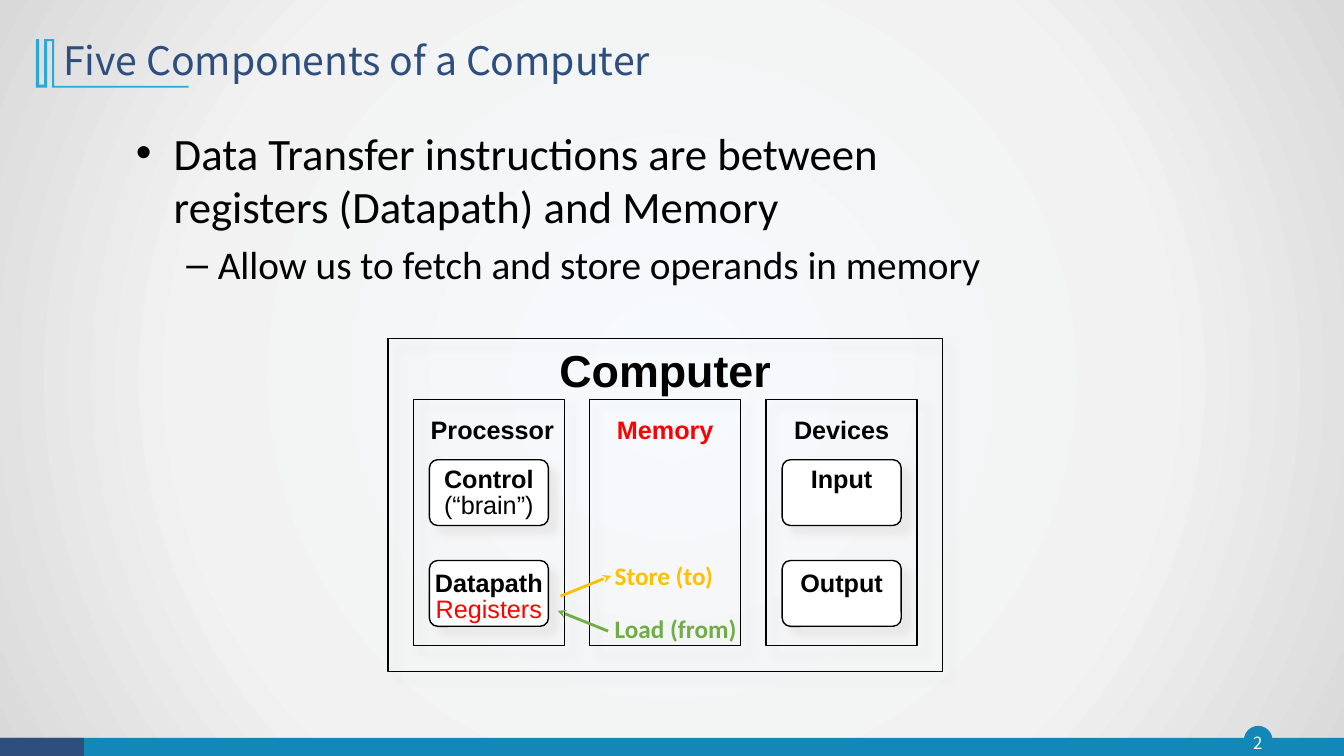
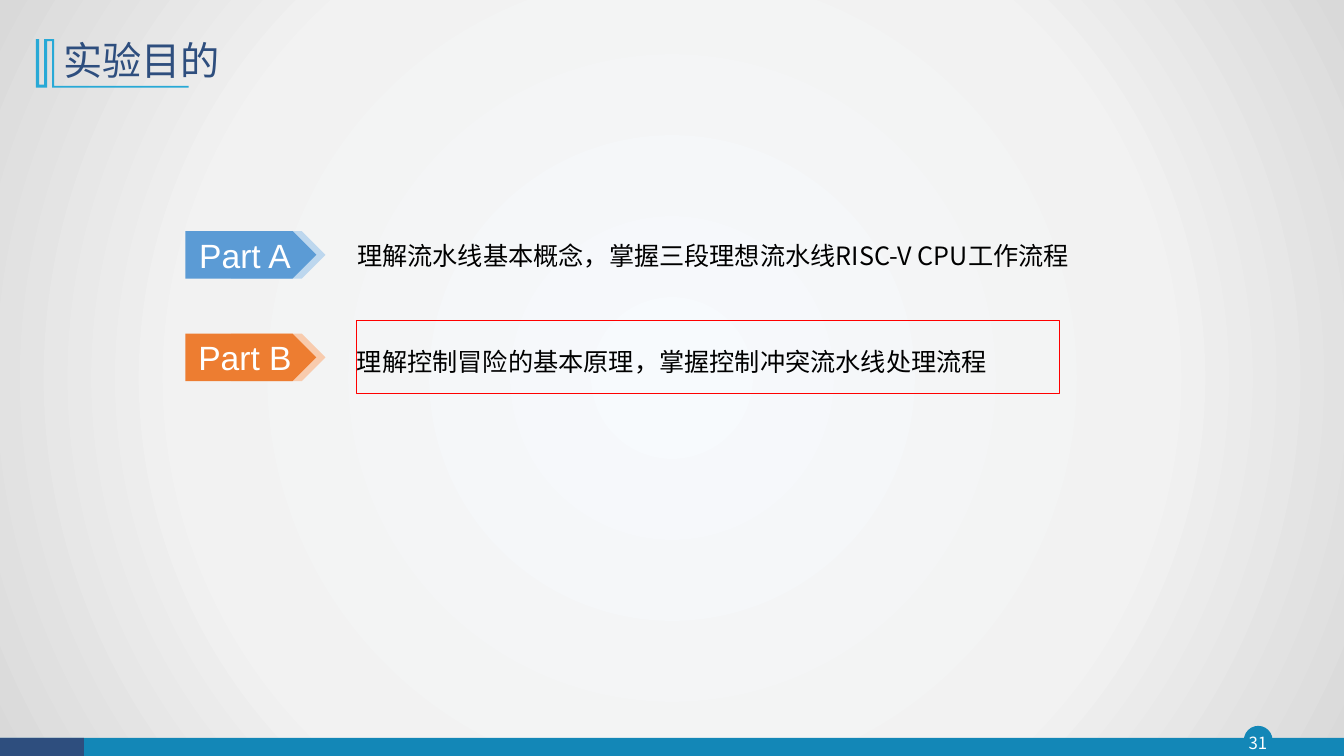
from lxml.etree import SubElement
from pptx import Presentation
from pptx.dml.color import RGBColor
from pptx.enum.shapes import MSO_CONNECTOR, MSO_SHAPE
from pptx.enum.text import MSO_ANCHOR, PP_ALIGN
from pptx.oxml.ns import qn
from pptx.util import Pt

WIDTH, HEIGHT = 960, 540
NAVY, TEAL, CYAN = "2E4E7E", "1387B7", "28A9D6"
BLACK, WHITE, RED = "000000", "FFFFFF", "FF0000"
AMBER, GREEN = "FFC000", "70AD47"
SHADOW = "E7E6E6"
SANS, ARIAL, CALIBRI = "Noto Sans CJK SC", "Arial", "Calibri"

BACKGROUND_STOPS = [(0, "F7FAFD"), (63, "F2F2F2"), (100, "D9D9D9")]
TITLE_MARK = [
    (13, 0), (13, 33.3), (109, 33.3), (109, 34.5), (11.5, 34.5), (11.5, 1.4),
    (8, 1.4), (8, 34.5), (0, 34.5), (0, 0), (2.2, 0), (2.2, 32.4),
    (5.8, 32.4), (5.8, 0),
]

TITLE = {"name": SANS, "size": Pt(28), "color": NAVY}
NUMBER = {"name": SANS, "size": Pt(12), "color": WHITE}
BODY = {"name": SANS, "size": Pt(18), "color": BLACK}
POINT = {"name": CALIBRI, "size": Pt(32), "color": BLACK}
SUBPOINT = {**POINT, "size": Pt(28)}
HEADING = {"name": ARIAL, "size": Pt(32), "bold": True, "color": BLACK}
LABEL = {**HEADING, "size": Pt(18)}
DETAIL = {**LABEL, "bold": False}
TRANSFER = {**LABEL, "name": CALIBRI}
TAG = {"name": ARIAL, "size": Pt(24), "color": WHITE}

CENTERED = {"alignment": PP_ALIGN.CENTER}
TIGHT = {**CENTERED, "line_spacing": 0.85}
MIDDLE = {"vertical_anchor": MSO_ANCHOR.MIDDLE}


def margins(horizontal, vertical):
    return {
        "margin_left": Pt(horizontal), "margin_right": Pt(horizontal),
        "margin_top": Pt(vertical), "margin_bottom": Pt(vertical),
    }


FLUSH = {**MIDDLE, **margins(0, 0)}
SNUG = margins(5, 2.2)


def rgb(color):
    return RGBColor.from_string(color)


def apply(target, values):
    for name, value in values.items():
        setattr(target, name, value)


def add_color(parent, color):
    return SubElement(parent, qn("a:srgbClr"), val=color)


def write_text(frame, lines, frame_values):
    apply(frame, {"word_wrap": True, **frame_values})
    for index, (text, style, paragraph_values) in enumerate(lines):
        paragraph = frame.add_paragraph() if index else frame.paragraphs[0]
        apply(paragraph, paragraph_values)
        run = paragraph.add_run()
        run.text = text
        apply(run.font, {key: style[key] for key in style if key != "color"})
        run.font.color.rgb = rgb(style["color"])
        SubElement(run.font._element, qn("a:ea"), typeface=style["name"])


def add_text(slide, box, lines, frame_values=None):
    shape = slide.shapes.add_textbox(*map(Pt, box))
    write_text(shape.text_frame, lines, frame_values or {})
    return shape


def paint(shape, fill=None, line=None, line_width=1):
    shape.shadow.inherit = False
    if fill:
        shape.fill.solid()
        shape.fill.fore_color.rgb = rgb(fill)
    else:
        shape.fill.background()
    if line:
        shape.line.color.rgb = rgb(line)
        shape.line.width = Pt(line_width)
    else:
        shape.line.fill.background()


def add_box(slide, kind, box, **colors):
    shape = slide.shapes.add_shape(kind, *map(Pt, box))
    paint(shape, **colors)
    return shape


def add_shadowed_box(slide, kind, box, fill=None):
    shape = add_box(slide, kind, box, fill=fill, line=BLACK)
    effects = shape._element.spPr.find(qn("a:effectLst"))
    shadow = SubElement(
        effects, qn("a:outerShdw"), blurRad=str(Pt(5)), dist=str(Pt(8.5)),
        dir="2700000", algn="ctr", rotWithShape="0",
    )
    SubElement(add_color(shadow, SHADOW), qn("a:alpha"), val="75000")
    return shape


def add_arrow(slide, start, end, color):
    connector = slide.shapes.add_connector(
        MSO_CONNECTOR.STRAIGHT, *map(Pt, start + end))
    connector.line.color.rgb = rgb(color)
    connector.line.width = Pt(2)
    properties = connector._element.spPr
    SubElement(properties.find(qn("a:ln")), qn("a:tailEnd"), type="stealth")
    SubElement(properties, qn("a:effectLst"))


def set_background(master):
    master.background.fill.solid()
    properties = master.element.find(".//" + qn("p:bgPr"))
    properties.remove(properties[0])
    gradient = SubElement(properties, qn("a:gradFill"), rotWithShape="1")
    properties.insert(0, gradient)
    stops = SubElement(gradient, qn("a:gsLst"))
    for position, color in BACKGROUND_STOPS:
        add_color(SubElement(stops, qn("a:gs"), pos=str(position * 1000)), color)
    circle = SubElement(gradient, qn("a:path"), attrib={"path": "circle"})
    SubElement(circle, qn("a:fillToRect"),
               attrib={side: "50000" for side in "ltrb"})


def add_footer(slide, box, number):
    left, top, width, height = box
    disc = (left + 889, top - 8, 19.5, 19.5)
    add_box(slide, MSO_SHAPE.OVAL, disc, fill=TEAL, line=TEAL)
    add_box(slide, MSO_SHAPE.RECTANGLE, box, fill=TEAL)
    add_box(slide, MSO_SHAPE.RECTANGLE, (left, top, 60, height), fill=NAVY)
    add_text(slide, (left + 887, top - 8, 23, 22.5),
             [(str(number), NUMBER, CENTERED)], FLUSH)


def add_title(slide, box, title):
    left, top, width, height = box
    builder = slide.shapes.build_freeform(
        *map(Pt, TITLE_MARK[0]), scale=1.0)
    builder.add_line_segments(
        [(Pt(x), Pt(y)) for x, y in TITLE_MARK[1:]], close=True)
    mark = builder.convert_to_shape(Pt(left - 12.3), Pt(top + 8))
    paint(mark, fill=CYAN)
    add_text(slide, box, [(title, TITLE, {"line_spacing": 0.9})], MIDDLE)


def add_framed_slide(presentation, title, number):
    slide = presentation.slides.add_slide(presentation.slide_layouts[6])
    add_footer(slide, (0, 527, WIDTH, 13), number)
    add_title(slide, (38, 20, 828, 49), title)
    return slide


def add_bullets(slide, box, points):
    lines = [(text, style, {"space_before": Pt(before)})
             for text, style, before, *_ in points]
    frame = add_text(slide, box, lines).text_frame
    for paragraph, point in zip(frame.paragraphs, points):
        margin, hanging, mark = point[3:]
        properties = paragraph._p.get_or_add_pPr()
        properties.set("marL", str(Pt(margin)))
        properties.set("indent", str(-Pt(hanging)))
        add_color(SubElement(properties, qn("a:buClr")), BLACK)
        SubElement(properties, qn("a:buFont"), typeface=ARIAL)
        SubElement(properties, qn("a:buChar"), char=mark)


def add_unit(slide, column_left, top, label_offset, lines):
    add_shadowed_box(slide, MSO_SHAPE.ROUNDED_RECTANGLE,
                     (column_left + 11.5, top, 85, 47), WHITE).adjustments[0] = 0.125
    add_text(slide, (column_left, top + label_offset, 108, 41),
             [(text, style, TIGHT) for text, style in lines], SNUG)


def add_column(slide, box, name, style, units):
    left, top, width, height = box
    add_shadowed_box(slide, MSO_SHAPE.RECTANGLE, box)
    add_text(slide, (left, top + 11.5, width, 23),
             [(name, style, TIGHT)], SNUG)
    for row, (label_offset, lines) in enumerate(zip((3.6, 5.8), units)):
        add_unit(slide, left, top + 43.2 + row * 72, label_offset, lines)


def add_transfers(slide, left, top):
    add_arrow(slide, (left, top + 29), (left + 36, top + 14.5), AMBER)
    add_arrow(slide, (left + 34, top + 54), (left - 2, top + 39.5), GREEN)
    for row, (name, color) in enumerate(
            [("Store (to)", AMBER), ("Load (from)", GREEN)]):
        add_text(slide, (left + 31.6, top + row * 38, 104, 29),
                 [(name, {**TRANSFER, "color": color}, {})])


def add_computer(slide, box):
    left, top, width, height = box
    columns = [
        (" Processor", LABEL, [
            [("Control", LABEL), ("(“brain”)", DETAIL)],
            [("Datapath", LABEL), ("Registers", {**DETAIL, "color": RED})],
        ]),
        ("Memory", {**LABEL, "color": RED}, []),
        ("Devices", LABEL, [[("Input", LABEL)], [("Output", LABEL)]]),
    ]
    add_shadowed_box(slide, MSO_SHAPE.RECTANGLE, box)
    add_text(slide, (left, top + 6.5, width, 37),
             [("Computer", HEADING, TIGHT)], SNUG)
    for index, column in enumerate(columns):
        add_column(slide, (left + 18 + index * 126, top + 43.2, 108, 176),
                   *column)
    add_transfers(slide, left + 123.2, top + 154.8)


def add_part(slide, left, top, tag, color, tint):
    plate = MSO_SHAPE.PENTAGON
    add_box(slide, plate, (left + 32.5, top, 67.5, 34), fill=tint)
    arrow = add_box(slide, plate, (left, top, 93.5, 34), fill=color)
    write_text(arrow.text_frame, [(tag, TAG, CENTERED)], MIDDLE)


def build_components_slide(presentation):
    slide = add_framed_slide(presentation, "Five Components of a Computer", 2)
    add_bullets(slide, (90, 86, 648, 136), [
        ("Data Transfer instructions are between registers (Datapath) and Memory",
         POINT, 0, 27, 27, "•"),
        ("Allow us to fetch and store operands in memory",
         SUBPOINT, 5.6, 58.5, 22.5, "–"),
    ])
    add_computer(slide, (277.2, 242, 396, 237.6))


def build_goals_slide(presentation):
    slide = add_framed_slide(presentation, "实验目的", 31)
    parts = [("Part A", "5B9BD5", "BDD7EE"), ("Part B", "ED7D31", "F8CBAD")]
    for row, part in enumerate(parts):
        add_part(slide, 132.5, 165 + row * 73.3, *part)
    add_text(slide, (255, 156.5, 539, 52),
             [("理解流水线基本概念，掌握三段理想流水线RISC-V CPU工作流程", BODY, {})],
             FLUSH)
    goal = add_box(slide, MSO_SHAPE.RECTANGLE, (255, 229, 501.5, 52),
                   line=RED, line_width=0.75)
    write_text(goal.text_frame,
               [("理解控制冒险的基本原理，掌握控制冲突流水线处理流程", BODY,
                 {"alignment": PP_ALIGN.LEFT, "line_spacing": 1.3})], FLUSH)


def main():
    presentation = Presentation()
    apply(presentation, {"slide_width": Pt(WIDTH), "slide_height": Pt(HEIGHT)})
    set_background(presentation.slide_master)
    build_components_slide(presentation)
    build_goals_slide(presentation)
    presentation.save("out.pptx")


if __name__ == "__main__":
    main()
